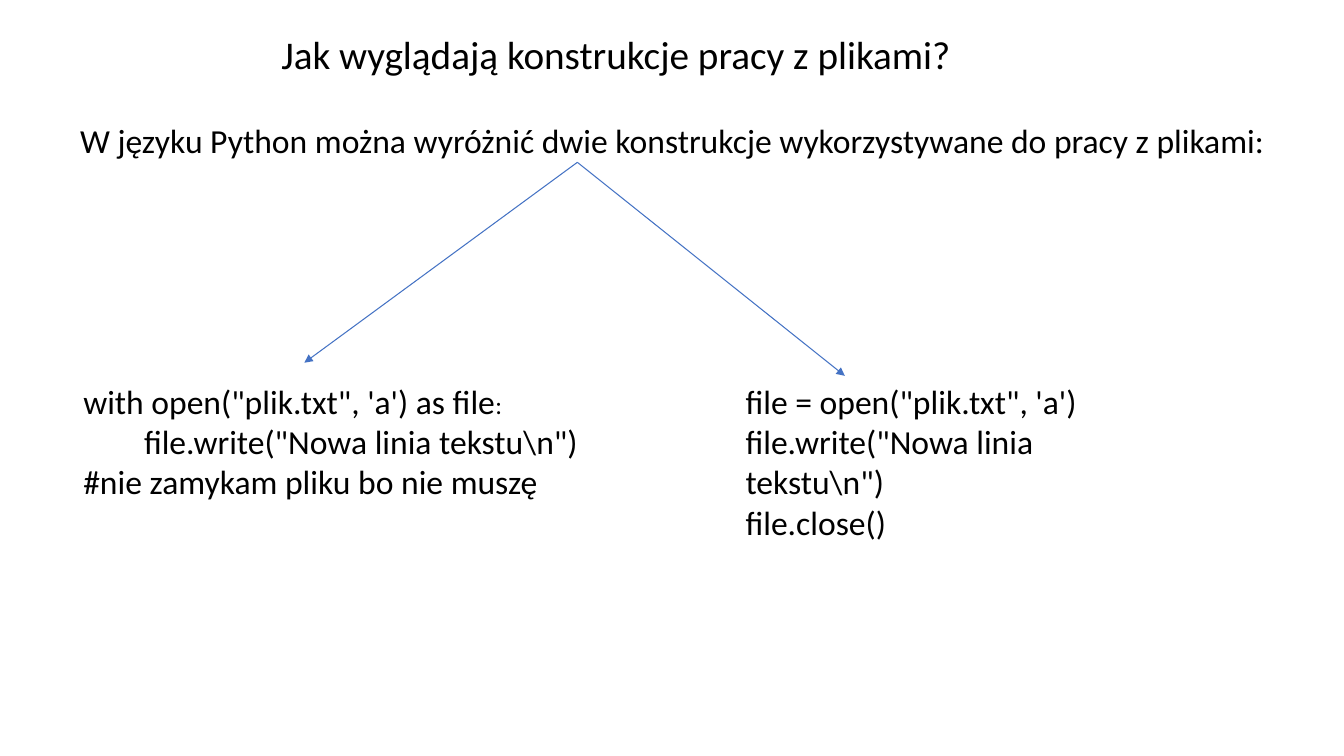
from dataclasses import dataclass

from lxml.etree import SubElement
from pptx import Presentation
from pptx.dml.color import RGBColor
from pptx.enum.shapes import MSO_CONNECTOR
from pptx.enum.text import MSO_ANCHOR, MSO_AUTO_SIZE, PP_ALIGN
from pptx.oxml.ns import qn
from pptx.util import Cm, Pt


@dataclass(frozen=True)
class Theme:
    """Hold the colours, font and type sizes of the slide."""
    font: str = "Calibri"
    ink: RGBColor = RGBColor(0, 0, 0)
    line: RGBColor = RGBColor(0x44, 0x72, 0xC4)
    head: Pt = Pt(28)
    body: Pt = Pt(24)
    small: Pt = Pt(18)
    rule: Pt = Pt(0.75)


THEME = Theme()


def add_run(para, text, size):
    """Add one run of text to a paragraph."""
    run = para.add_run()
    run.text = text
    run.font.name = THEME.font
    run.font.size = size
    run.font.bold = False
    run.font.color.rgb = THEME.ink


def set_title(slide, text, left, top, width, height):
    """Place and format the title placeholder."""
    title = slide.shapes.title
    title.left, title.top = Cm(left), Cm(top)
    title.width, title.height = Cm(width), Cm(height)
    frame = title.text_frame
    frame.word_wrap = True
    frame.auto_size = MSO_AUTO_SIZE.NONE
    frame.vertical_anchor = MSO_ANCHOR.BOTTOM
    para = frame.paragraphs[0]
    para.alignment = PP_ALIGN.CENTER
    para.line_spacing = 0.9
    add_run(para, text, THEME.head)


def add_box(slide, left, top, width, height):
    """Add a wrapping text box and return its frame."""
    box = slide.shapes.add_textbox(Cm(left), Cm(top), Cm(width), Cm(height))
    box.text_frame.word_wrap = True
    return box.text_frame


def add_intro(slide, text, *area):
    """Add the centred sentence under the title."""
    para = add_box(slide, *area).paragraphs[0]
    para.alignment = PP_ALIGN.CENTER
    para.line_spacing = 0.9
    para.space_before = Pt(10)
    add_run(para, text, THEME.body)


def add_code(slide, lines, *area):
    """Add code lines, each an indent in cm and a list of sized runs."""
    frame = add_box(slide, *area)
    frame.auto_size = MSO_AUTO_SIZE.SHAPE_TO_FIT_TEXT
    for index, (indent, runs) in enumerate(lines):
        para = frame.add_paragraph() if index else frame.paragraphs[0]
        if indent:
            para._p.get_or_add_pPr().set("marL", str(Cm(indent)))
        for text, size in runs:
            add_run(para, text, size)


def add_arrow(slide, start, end):
    """Draw a thin arrow from start to end."""
    ends = [Cm(part) for part in (*start, *end)]
    arrow = slide.shapes.add_connector(MSO_CONNECTOR.STRAIGHT, *ends)
    arrow.line.color.rgb = THEME.line
    arrow.line.width = THEME.rule
    SubElement(arrow.line._get_or_add_ln(), qn("a:tailEnd"), type="triangle")
    SubElement(arrow._element.spPr, qn("a:effectLst"))


def main():
    """Build the slide and save it."""
    deck = Presentation()
    deck.slide_width, deck.slide_height = Cm(33.87), Cm(19.05)
    slide = deck.slides.add_slide(deck.slide_layouts[5])
    set_title(slide, "Jak wyglądają konstrukcje pracy z plikami?",
              2.82, 0.76, 25.4, 1.32)
    add_intro(slide, "W języku Python można wyróżnić dwie konstrukcje "
              "wykorzystywane do pracy z plikami:", 1.5, 3, 30.89, 13.77)

    body = THEME.body
    write = [(r"""file.write("Nowa linia tekstu\n")""", body)]
    top = 9.47
    add_code(slide, [
        (0, [("with open(\"plik.txt\", 'a') as file", body),
             (":", THEME.small)]),
        (1.53, write),
        (0, [("#nie zamykam pliku bo nie muszę", body)]),
    ], 1.85, top, 13.49, 3.33)
    add_code(slide, [
        (0, [("file = open(\"plik.txt\", 'a')", body)]),
        (0, write),
        (0, [("file.close()", body)]),
    ], 18.54, top, 10.19, 4.37)

    for tip in ((7.67, 9.14), (21.29, top)):
        add_arrow(slide, (14.55, 4.09), tip)
    deck.save("out.pptx")


if __name__ == "__main__":
    main()
